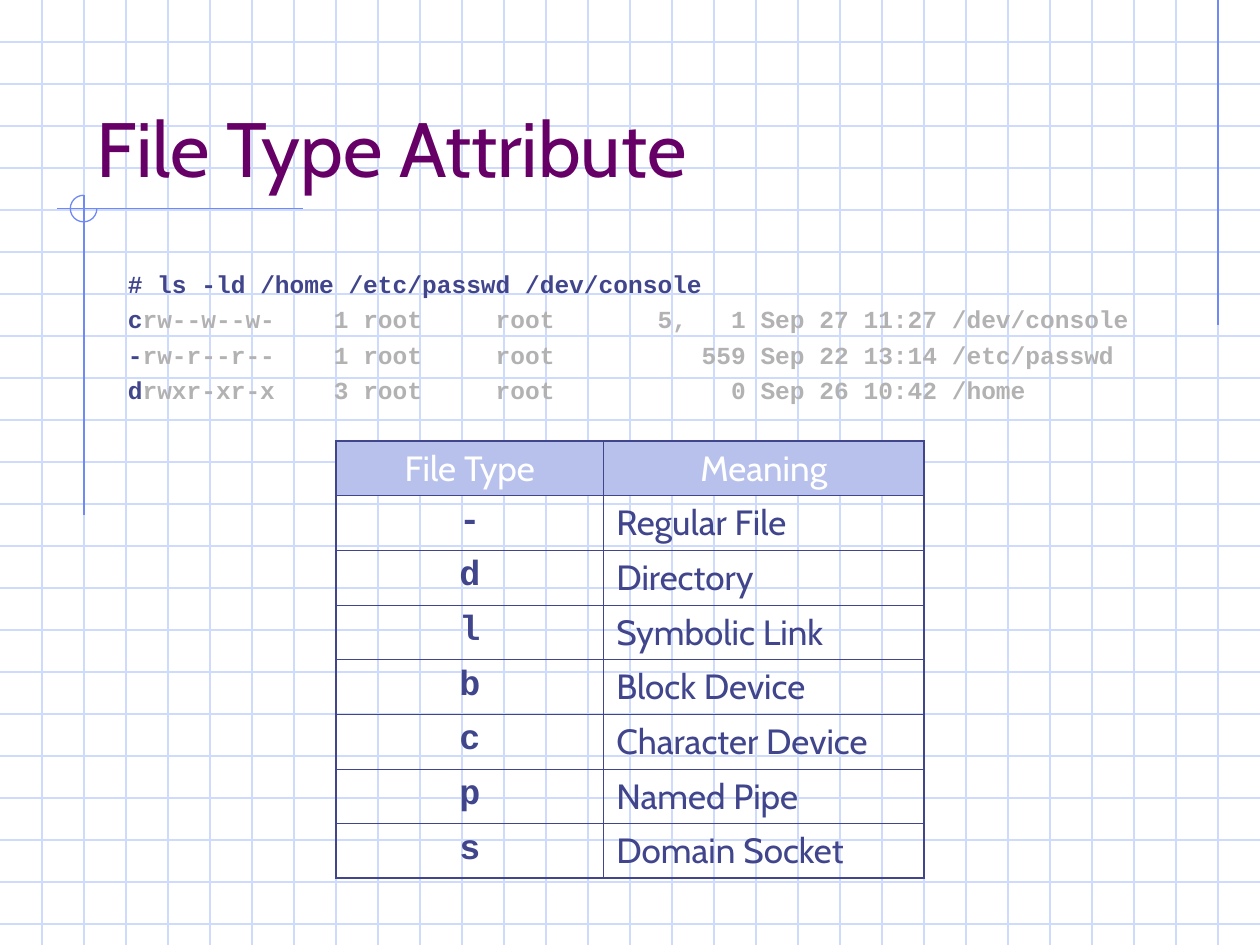
import pptx
import pptx.dml.color
import pptx.enum.shapes
import pptx.enum.text
import pptx.oxml
import pptx.oxml.ns
import pptx.util

Pt = pptx.util.Pt
RGBColor = pptx.dml.color.RGBColor
CENTER = pptx.enum.text.PP_ALIGN.CENTER
LEFT = pptx.enum.text.PP_ALIGN.LEFT

GRID_BLUE = RGBColor(0xCF, 0xDB, 0xFD)
ACCENT_BLUE = RGBColor(0x6F, 0x89, 0xF7)
INDIGO = RGBColor(0x40, 0x45, 0x8C)
PURPLE = RGBColor(0x66, 0x00, 0x66)
GRAY = RGBColor(0xB2, 0xB2, 0xB2)
HEADER_BLUE = RGBColor(0xB7, 0xC1, 0xEB)
WHITE = RGBColor(0xFF, 0xFF, 0xFF)

SANS, MONO = "Cabin", "Courier New"
WIDTH, HEIGHT, GRID_STEP = 720, 540, 24
HAIRLINE, THIN, THICK = 0.74, 0.45, 1.08

COMMAND = "# ls -ld /home /etc/passwd /dev/console"
# Type, permissions, links, size or device numbers, date, file
LISTING = [
    ("c", "rw--w--w-", 1, "5,   1", "Sep 27 11:27", "/dev/console"),
    ("-", "rw-r--r--", 1, "559", "Sep 22 13:14", "/etc/passwd"),
    ("d", "rwxr-xr-x", 3, "0", "Sep 26 10:42", "/home"),
]
FILE_TYPES = [
    ("File Type", "Meaning"),
    ("-", "Regular File"),
    ("d", "Directory"),
    ("l", "Symbolic Link"),
    ("b", "Block Device"),
    ("c", "Character Device"),
    ("p", "Named Pipe"),
    ("s", "Domain Socket"),
]


def add_line(slide, x1, y1, x2, y2, color):
    line = slide.shapes.add_connector(
        pptx.enum.shapes.MSO_CONNECTOR.STRAIGHT, Pt(x1), Pt(y1), Pt(x2), Pt(y2))
    line.line.color.rgb = color
    line.line.width = Pt(HAIRLINE)
    line._element.spPr.append(pptx.oxml.parse_xml(
        f"<a:effectLst {pptx.oxml.ns.nsdecls('a')}/>"))


def add_text_frame(slide, left, top, width, height):
    frame = slide.shapes.add_textbox(
        Pt(left), Pt(top), Pt(width), Pt(height)).text_frame
    frame.word_wrap = True
    return frame


def style(font, name, size, color, bold=False):
    font.name = name
    font.size = Pt(size)
    font.bold = bold
    font.color.rgb = color


def add_grid(slide):
    for y in range(GRID_STEP, HEIGHT, GRID_STEP):
        add_line(slide, 0, y, WIDTH, y, GRID_BLUE)
    for x in range(GRID_STEP, WIDTH, GRID_STEP):
        add_line(slide, x, 0, x, HEIGHT, GRID_BLUE)


def add_accents(slide):
    add_line(slide, 696, 0, 696, 186, ACCENT_BLUE)
    add_line(slide, 32.5, 119.2, 173, 119.2, ACCENT_BLUE)
    add_line(slide, 48, 111.6, 48, 294.5, ACCENT_BLUE)
    # Three quarters of a circle, open at the upper right
    ring = slide.shapes.add_shape(pptx.enum.shapes.MSO_SHAPE.ARC,
                                  Pt(40.2), Pt(111.6), Pt(15.2), Pt(15.2))
    ring.adjustments[0] = 0
    ring.adjustments[1] = 162
    ring.shadow.inherit = False
    ring.fill.background()
    ring.line.color.rgb = ACCENT_BLUE
    ring.line.width = Pt(HAIRLINE)


def add_title(slide, text):
    frame = add_text_frame(slide, 48, 24, 612, 90)
    frame.vertical_anchor = pptx.enum.text.MSO_ANCHOR.BOTTOM
    title = frame.paragraphs[0]
    title.text = text
    style(title.font, SANS, 44, PURPLE)


def add_listing(slide):
    frame = add_text_frame(slide, 66, 150, 612, 96)
    command = frame.paragraphs[0]
    command.text = COMMAND
    for kind, mode, links, size, date, name in LISTING:
        entry = frame.add_paragraph()
        details = f"{mode}{links:>5} {'root':<8} {'root':<8} {size:>8} {date} {name}"
        for text, color in ((kind, INDIGO), (details, GRAY)):
            run = entry.add_run()
            run.text = text
            run.font.color.rgb = color
    for paragraph in frame.paragraphs:
        paragraph.space_before = Pt(3.5)
        style(paragraph.font, MONO, 14, INDIGO, bold=True)


def set_border(cell, side, width):
    cell._tc.get_or_add_tcPr().append(pptx.oxml.parse_xml(
        f"<a:ln{side} {pptx.oxml.ns.nsdecls('a')} w='{Pt(width)}'>"
        f"<a:solidFill><a:srgbClr val='{INDIGO}'/></a:solidFill></a:ln{side}>"))


def fill_cell(cell, text, row, column):
    last_row = len(FILE_TYPES) - 1
    for side, outer in (("L", column == 0), ("R", column == 1),
                        ("T", row == 0), ("B", row == last_row)):
        set_border(cell, side, THICK if outer else THIN)
    header, is_code = row == 0, row > 0 and column == 0
    if header:
        cell.fill.solid()
        cell.fill.fore_color.rgb = HEADER_BLUE
    else:
        cell.fill.background()
    paragraph = cell.text_frame.paragraphs[0]
    paragraph.text = text
    paragraph.alignment = CENTER if header or is_code else LEFT
    paragraph.space_before = Pt(5)
    style(paragraph.font, MONO if is_code else SANS, 20,
          WHITE if header else INDIGO, bold=is_code)


def add_type_table(slide):
    table = slide.shapes.add_table(len(FILE_TYPES), 2, Pt(192), Pt(252),
                                   Pt(336), Pt(249.6)).table
    table.first_row = table.horz_banding = False
    for column, width in zip(table.columns, (153, 183)):
        column.width = Pt(width)
    for r, texts in enumerate(FILE_TYPES):
        for c, text in enumerate(texts):
            fill_cell(table.cell(r, c), text, r, c)


def main():
    deck = pptx.Presentation()
    deck.slide_width, deck.slide_height = Pt(WIDTH), Pt(HEIGHT)
    slide = deck.slides.add_slide(deck.slide_layouts[6])
    add_grid(slide)
    add_accents(slide)
    add_title(slide, "File Type Attribute")
    add_listing(slide)
    add_type_table(slide)
    deck.save("out.pptx")


main()
